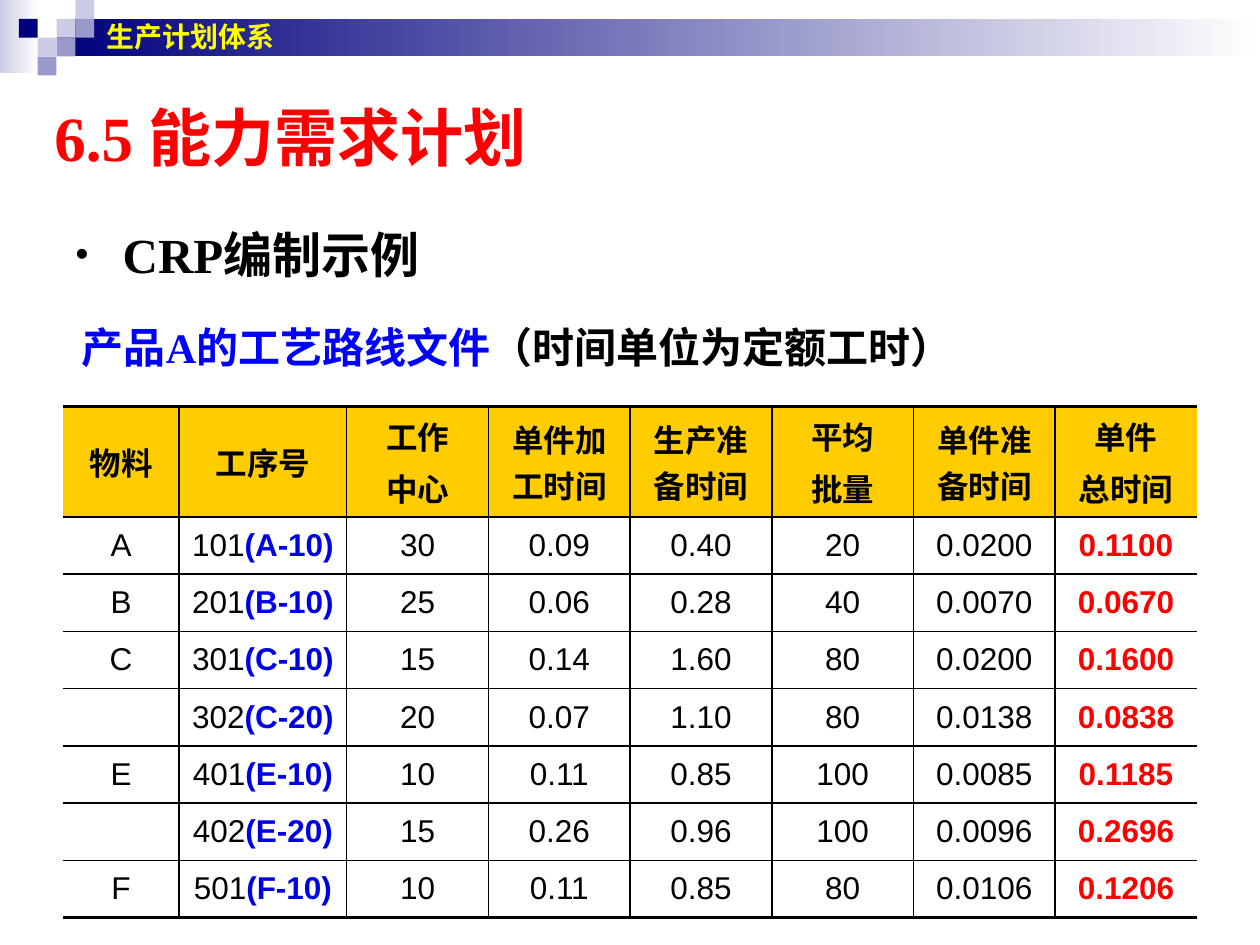
import pptx
import pptx.util
import pptx.dml.color
import pptx.enum.shapes
import pptx.enum.text
import pptx.oxml
import pptx.oxml.ns
from lxml import etree

Cm, Pt = pptx.util.Cm, pptx.util.Pt
ALIGN, ANCHOR = pptx.enum.text.PP_ALIGN, pptx.enum.text.MSO_ANCHOR
COLORS = {"navy": "00007D", "lilac": "CCCCE6", "violet": "9999CC", "white": "FFFFFF",
          "black": "000000", "red": "FF0000", "blue": "0000FF", "code": "0000E4",
          "yellow": "FFFF00", "gold": "FFCC00"}
SERIF, SANS = "Times New Roman", "Arial"

# Content
SECTION = "生产计划体系"
TITLE = "6.5 能力需求计划"
BULLET = "CRP编制示例"
CAPTION = [("产品A的工艺路线文件", "blue"), ("（时间单位为定额工时）", "black")]
HEADER = [["物料"], ["工序号"], ["工作", "中心"], ["单件加工时间"], ["生产准备时间"],
          ["平均", "批量"], ["单件准备时间"], ["单件", "总时间"]]
ROUTING = [
    ("A", "101", "(A-10)", "30", "0.09", "0.40", "20", "0.0200", "0.1100"),
    ("B", "201", "(B-10)", "25", "0.06", "0.28", "40", "0.0070", "0.0670"),
    ("C", "301", "(C-10)", "15", "0.14", "1.60", "80", "0.0200", "0.1600"),
    ("", "302", "(C-20)", "20", "0.07", "1.10", "80", "0.0138", "0.0838"),
    ("E", "401", "(E-10)", "10", "0.11", "0.85", "100", "0.0085", "0.1185"),
    ("", "402", "(E-20)", "15", "0.26", "0.96", "100", "0.0096", "0.2696"),
    ("F", "501", "(F-10)", "10", "0.11", "0.85", "80", "0.0106", "0.1206"),
]

# Banner: gradient bars, then squares as (column, row, colour) on a small grid
UNIT = 0.38
BARS = [(0, 0, 0.79, 1.47, "lilac"), (1.14, UNIT, 24.26, 0.76, "navy")]
SQUARES = [(3, 1, "lilac"), (4, 0, "lilac"), (4, 1, "violet"), (2, 2, "lilac"),
           (1, 1, "navy"), (3, 2, "violet"), (2, 3, "violet")]

# Table measures in cm
TABLE_X, TABLE_Y, TABLE_W, TABLE_H = 1.27, 8.2, 22.86, 10.3
FIRST_COLS, HEADER_H = [2.34, 3.38], 2.22
THIN, THICK = 1, 2.25


def rgb(name):
    return pptx.dml.color.RGBColor.from_string(COLORS[name])


def add_run(p, text, size, color, font=SANS, bold=True):
    r = p.add_run()
    r.text = text
    r.font.size, r.font.name, r.font.bold = Pt(size), font, bold
    r.font.color.rgb = rgb(color)


def place(sp, x, y, w, h):
    sp.left, sp.top, sp.width, sp.height = Cm(x), Cm(y), Cm(w), Cm(h)


def add_block(s, x, y, w, h, color, fade=False):
    sp = s.shapes.add_shape(pptx.enum.shapes.MSO_SHAPE.RECTANGLE, Cm(x), Cm(y), Cm(w), Cm(h))
    sp.shadow.inherit = False
    sp.line.fill.background()
    if fade:
        sp.fill.gradient()
        sp.fill.gradient_angle = 0
        for stop, position, name in zip(sp.fill.gradient_stops, (0, 1), (color, "white")):
            stop.position, stop.color.rgb = position, rgb(name)
    else:
        sp.fill.solid()
        sp.fill.fore_color.rgb = rgb(color)


def add_text(s, x, y, w, h):
    tf = s.shapes.add_textbox(Cm(x), Cm(y), Cm(w), Cm(h)).text_frame
    tf.word_wrap = True
    return tf


def set_bullet(p, char, color, percent, indent):
    pPr = p._p.get_or_add_pPr()
    pPr.set("marL", str(indent))
    pPr.set("indent", str(-indent))
    clr = etree.SubElement(pPr, pptx.oxml.ns.qn("a:buClr"))
    etree.SubElement(clr, pptx.oxml.ns.qn("a:srgbClr"), val=COLORS[color])
    etree.SubElement(pPr, pptx.oxml.ns.qn("a:buSzPct"), val=str(percent * 1000))
    etree.SubElement(pPr, pptx.oxml.ns.qn("a:buFont"), typeface=SANS)
    etree.SubElement(pPr, pptx.oxml.ns.qn("a:buChar"), char=char)


def set_borders(cell, widths):
    tcPr = cell._tc.get_or_add_tcPr()
    for side, width in zip("LRTB", widths):
        ln = etree.SubElement(tcPr, pptx.oxml.ns.qn(f"a:ln{side}"), w=str(Pt(width)))
        if width:
            fill = etree.SubElement(ln, pptx.oxml.ns.qn("a:solidFill"))
            etree.SubElement(fill, pptx.oxml.ns.qn("a:srgbClr"), val=COLORS["black"])
        else:
            etree.SubElement(ln, pptx.oxml.ns.qn("a:noFill"))


def cell_paragraphs(row, col):
    """Paragraphs of a cell, each a list of (text, colour, bold) runs."""
    if row == 0:
        return [[(line, "black", True)] for line in HEADER[col]]
    material, number, code, *values = ROUTING[row - 1]
    if col == 1:
        return [[(number, "black", False), (code, "code", True)]]
    if col == len(HEADER) - 1:
        return [[(values[-1], "red", True)]]
    text = values[col - 2] if col else material
    return [[(text, "black", False)]] if text else []


def add_routing_table(s):
    n_rows, n_cols = len(ROUTING) + 1, len(HEADER)
    table = s.shapes.add_table(n_rows, n_cols, Cm(TABLE_X), Cm(TABLE_Y),
                               Cm(TABLE_W), Cm(TABLE_H)).table
    table.first_row = table.horz_banding = False
    other_w = (TABLE_W - sum(FIRST_COLS)) / (n_cols - len(FIRST_COLS))
    row_h = (TABLE_H - HEADER_H) / len(ROUTING)
    for c, column in enumerate(table.columns):
        column.width = Cm(FIRST_COLS[c] if c < len(FIRST_COLS) else other_w)
    for r, row in enumerate(table.rows):
        row.height = Cm(row_h if r else HEADER_H)
        for c, cell in enumerate(row.cells):
            set_borders(cell, (THIN if c else 0, THIN if c < n_cols - 1 else 0,
                               THIN if r else THICK, THIN if r < n_rows - 1 else THICK))
            if r:
                cell.fill.background()
            else:
                cell.fill.solid()
                cell.fill.fore_color.rgb = rgb("gold")
            cell.vertical_anchor = ANCHOR.MIDDLE
            for i, runs in enumerate(cell_paragraphs(r, c)):
                p = cell.text_frame.add_paragraph() if i else cell.text_frame.paragraphs[0]
                p.alignment = ALIGN.CENTER
                if i:
                    p.space_before = Pt(3.6)
                for text, color, bold in runs:
                    add_run(p, text, 18, color, bold=bold)


def main():
    prs = pptx.Presentation()
    prs.slide_width, prs.slide_height = Cm(25.4), Cm(19.05)
    s = prs.slides.add_slide(prs.slide_layouts[1])

    # Banner
    for x, y, w, h, color in BARS:
        add_block(s, x, y, w, h, color, fade=True)
    for col, row, color in SQUARES:
        add_block(s, col * UNIT, row * UNIT, UNIT, UNIT, color)

    # Title
    title = s.shapes.title
    place(title, 0.84, 1.9, 22.86, 1.7)
    tf = title.text_frame
    tf.auto_size = pptx.enum.text.MSO_AUTO_SIZE.NONE
    tf.vertical_anchor = ANCHOR.MIDDLE
    tf.paragraphs[0].alignment = ALIGN.LEFT
    add_run(tf.paragraphs[0], TITLE, 36, "red", SERIF)

    # Bullet
    body = s.placeholders[1]
    place(body, 1.27, 3.81, 23.29, 3.61)
    body.text_frame.auto_size = pptx.enum.text.MSO_AUTO_SIZE.NONE
    p = body.text_frame.paragraphs[0]
    set_bullet(p, "•", "black", 75, Cm(0.95))
    p.line_spacing, p.space_before = 1.5, Pt(0)
    add_run(p, BULLET, 28, "black", SERIF)

    # Section name in the banner
    tf = add_text(s, 1.9, 0, 22.43, 1.47)
    tf.vertical_anchor = ANCHOR.MIDDLE
    add_run(tf.paragraphs[0], SECTION, 16, "yellow")

    # Routing table and its caption
    add_routing_table(s)
    tf = add_text(s, 1.4, 6.35, 20.83, 1.27)
    for text, color in CAPTION:
        add_run(tf.paragraphs[0], text, 24, color, SERIF)

    prs.save("out.pptx")


if __name__ == "__main__":
    main()
